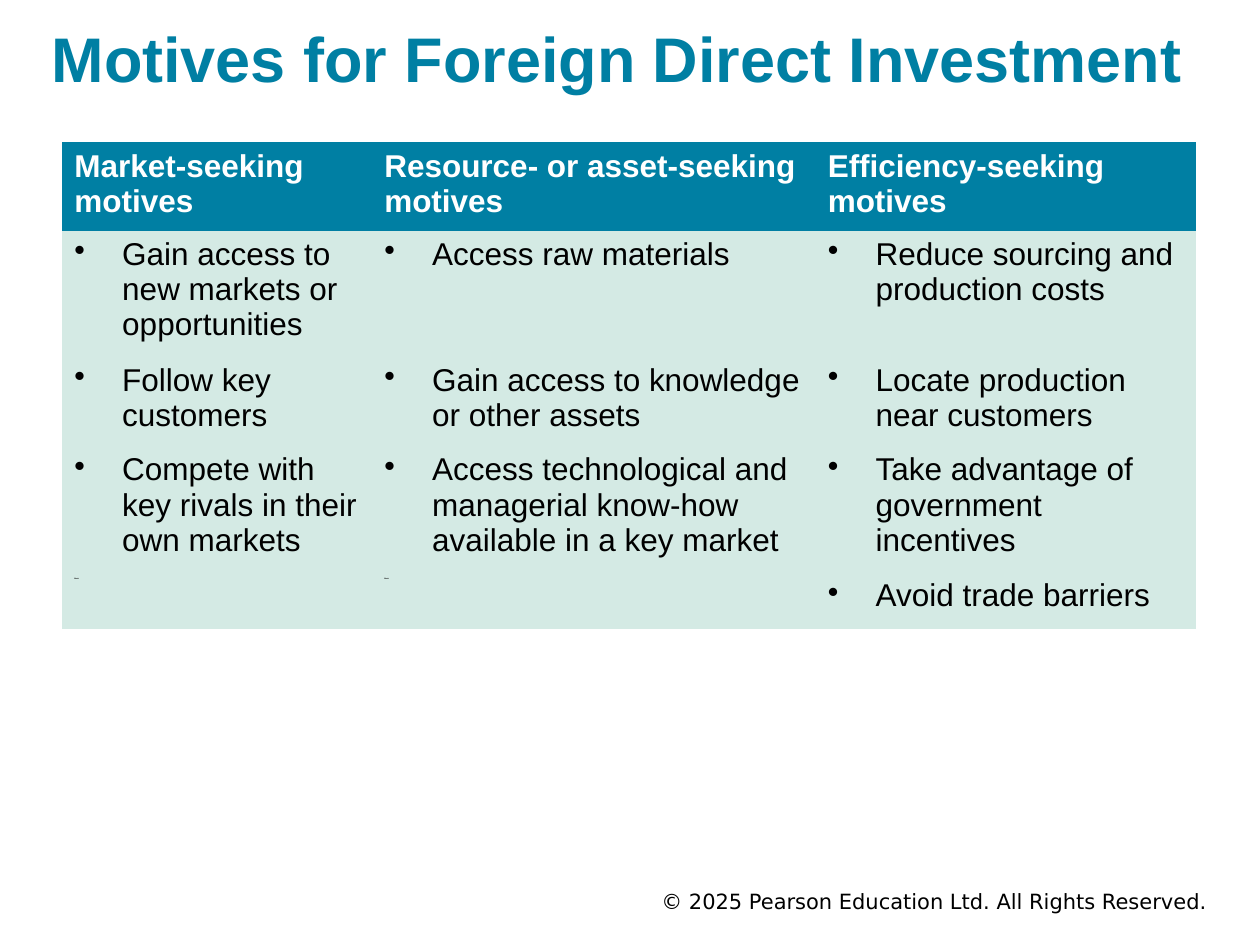
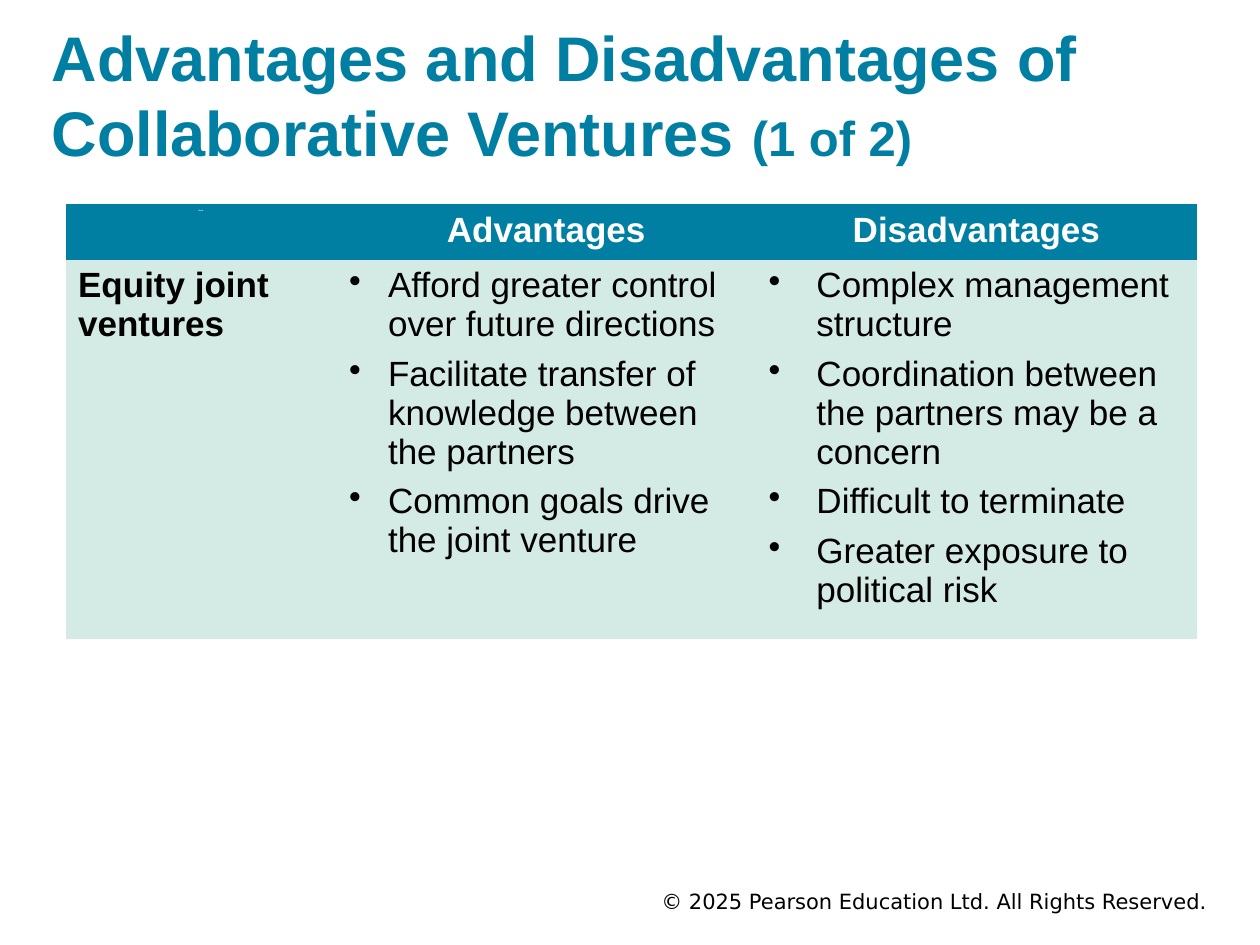
from pptx import Presentation
from pptx.dml.color import RGBColor
from pptx.enum.text import MSO_ANCHOR, MSO_AUTO_SIZE, PP_ALIGN
from pptx.oxml.ns import qn
from pptx.util import Inches, Pt
from lxml.etree import SubElement

COLOURS = {"teal": "007FA3", "mint": "D4EAE4", "white": "FFFFFF", "black": "000000"}
NO_GRID_STYLE = "{2D5ABB26-0587-4C30-8999-92F81FD0307C}"
TITLE_ONLY = 5
FRAME_FORMAT = {
    "margin_left": 0, "margin_right": 0,
    "margin_top": Inches(0.02), "margin_bottom": Inches(0.02),
    "vertical_anchor": MSO_ANCHOR.MIDDLE, "word_wrap": True,
    "auto_size": MSO_AUTO_SIZE.NONE,
}
FOOTER = "© 2025 Pearson Education Ltd. All Rights Reserved."
SPACER = "Blank"

MOTIVES = [
    ["Market-seeking motives", "Resource- or asset-seeking motives",
     "Efficiency-seeking motives"],
    [["Gain access to new markets or opportunities"], ["Access raw materials"],
     ["Reduce sourcing and production costs"]],
    [["Follow key customers"], ["Gain access to knowledge or other assets"],
     ["Locate production near customers"]],
    [["Compete with key rivals in their own markets"],
     ["Access technological and managerial know-how available in a key market"],
     ["Take advantage of government incentives"]],
    [SPACER, SPACER, ["Avoid trade barriers"]],
]
VENTURES = [
    [SPACER, "Advantages", "Disadvantages"],
    ["Equity joint ventures",
     ["Afford greater control over future directions",
      "Facilitate transfer of knowledge between the partners",
      "Common goals drive the joint venture"],
     ["Complex management structure",
      "Coordination between the partners may be a concern",
      "Difficult to terminate",
      "Greater exposure to political risk"]],
]


def set_format(target, values):
    for name, value in values.items():
        setattr(target, name, value)


def add_span(para, text, size, colour, bold=False, font="Arial"):
    span = para.add_run()
    span.text = text
    set_format(span.font, {"size": Pt(size), "bold": bold, "name": font})
    span.font.color.rgb = RGBColor.from_string(COLOURS[colour])


def add_bullet(para, indent):
    properties = para._p.get_or_add_pPr()
    properties.set("marL", str(Inches(indent)))
    properties.set("indent", str(-Inches(indent)))
    SubElement(properties, qn("a:buChar")).set("char", "•")


def add_page(deck, top, height, *title_spans):
    """Add a page with its title, given as (text, size) spans, and the footer."""
    page = deck.slides.add_slide(deck.slide_layouts[TITLE_ONLY])
    title = page.shapes.title
    set_format(title, {"left": Inches(0.41), "top": Inches(top),
                       "width": Inches(9.12), "height": Inches(height)})
    footer = page.shapes.add_textbox(Inches(4.07), Inches(7.03), Inches(5.51), Inches(0.24))
    for box, align in ((title, PP_ALIGN.LEFT), (footer, PP_ALIGN.RIGHT)):
        set_format(box.text_frame, FRAME_FORMAT)
        box.text_frame.paragraphs[0].alignment = align
    for text, size in title_spans:
        add_span(title.text_frame.paragraphs[0], text, size, "teal", bold=True)
    add_span(footer.text_frame.paragraphs[0], FOOTER, 12, "black", font="DejaVu Sans")
    return page


def fill_cell(cell, content, size, is_header, indent, align):
    """Write a list as bullets and a string as a bold label."""
    cell.fill.solid()
    cell.fill.fore_color.rgb = RGBColor.from_string(COLOURS["teal" if is_header else "mint"])
    bulleted = isinstance(content, list)
    for index, text in enumerate(content if bulleted else [content]):
        para = cell.text_frame.add_paragraph() if index else cell.text_frame.paragraphs[0]
        if index:
            para.space_before = Pt(6)
        if bulleted:
            add_bullet(para, indent)
        elif is_header:
            para.alignment = align
        add_span(para, text, 1 if text == SPACER else size,
                 "white" if is_header else "black", bold=not bulleted)


def add_grid(page, left, top, widths, heights, rows, size, indents, header_align=PP_ALIGN.LEFT):
    frame = page.shapes.add_table(len(heights), len(widths), Inches(left), Inches(top),
                                  Inches(sum(widths)), Inches(sum(heights)))
    frame.element.find(".//" + qn("a:tableStyleId")).text = NO_GRID_STYLE
    table = frame.table
    for column, width in zip(table.columns, widths):
        column.width = Inches(width)
    for index, (row, height) in enumerate(zip(table.rows, heights)):
        row.height = Inches(height)
        for cell, content, indent in zip(row.cells, rows[index], indents):
            fill_cell(cell, content, size, index == 0, indent, header_align)


def main():
    deck = Presentation()
    deck.slide_width, deck.slide_height = Inches(10), Inches(7.5)

    page = add_page(deck, 0.13, 0.65, ("Motives for Foreign Direct Investment", 36))
    add_grid(page, 0.49, 1.13, [2.46, 3.52, 3.02], [0.7, 1, 0.71, 1, 0.45],
             MOTIVES, 18, [0.38] * 3)

    page = add_page(deck, 0.12, 1.25,
                    ("Advantages and Disadvantages of Collaborative Ventures ", 36),
                    ("(1 of 2)", 28))
    add_grid(page, 0.52, 1.62, [2.15, 3.33, 3.5], [0.44, 3.01],
             VENTURES, 20, [0, 0.31, 0.38], PP_ALIGN.CENTER)

    deck.save("out.pptx")


if __name__ == "__main__":
    main()
